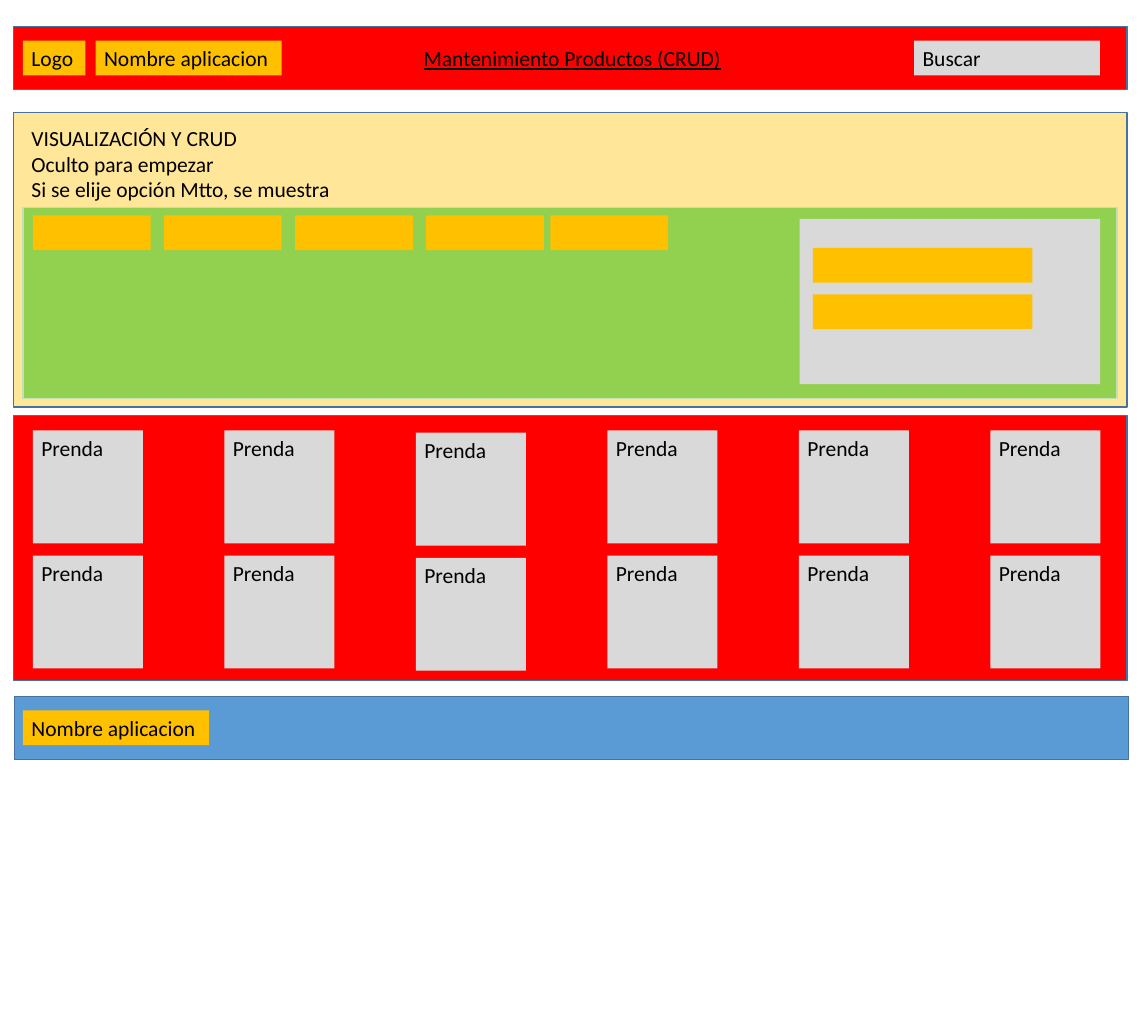
from pptx import Presentation
from pptx.dml.color import RGBColor
from pptx.enum.shapes import MSO_SHAPE
from pptx.enum.text import MSO_ANCHOR, MSO_AUTO_SIZE, PP_ALIGN
from pptx.util import Pt

RECT = MSO_SHAPE.RECTANGLE
TOP = MSO_ANCHOR.TOP
LEFT = PP_ALIGN.LEFT
NO_FIT = MSO_AUTO_SIZE.NONE
TITLE_ONLY = 5

COLORS = {
    "red": "FF0000", "orange": "FFC000", "gray": "D9D9D9", "cream": "FFE699",
    "green": "92D050", "blue": "5B9BD5", "border": "43739E",
    "pale": "C5E0B4", "text": "000000",
}
FONT, FONT_SIZE = "Calibri", 18

TITLE = "Mantenimiento Productos (CRUD)"
APP_NAME = "Nombre aplicacion"
CRUD_NOTES = ["VISUALIZACIÓN Y CRUD", "Oculto para empezar",
              "Si se elije opción Mtto, se muestra"]
GARMENTS = [["Prenda"] * 6, ["Prenda"] * 6]

BAND_X, BAND_W, BAR_H = 11, 931.5, 52.5
INNER_X, COLUMN_X = 19.2, 27.5
LABEL_W, LABEL_H = 155.5, 29.1
HEADER_Y, FOOTER_Y = 33.9, 594
BUTTON_W, BUTTON_Y = 98.5, 180
BUTTON_PITCH, LAST_BUTTON_X = 109.6, 460.3
FORM_X, FIELD_X, FIELD_W = 668.8, 679.8, 183.6
FIELD_Y, FIELD_PITCH = 207.2, 39
CARD_W, CARD_H, CARD_Y = 92, 94.4, 360
CARD_PITCH_X, CARD_PITCH_Y = 160.15, 104.6
LOWERED_COLUMN, LOWERED_BY = 2, 1.8


def rgb(name):
    return RGBColor.from_string(COLORS[name])


def write(sp, lines, underline=None):
    tf = sp.text_frame
    tf.word_wrap = True
    tf.auto_size = NO_FIT
    tf.vertical_anchor = TOP
    tf.margin_left = tf.margin_right = Pt(7.2)
    tf.margin_top = tf.margin_bottom = Pt(3.6)
    for i, line in enumerate(lines):
        p = tf.add_paragraph() if i else tf.paragraphs[0]
        p.alignment = LEFT
        p.line_spacing = 1.0
        p.space_before = Pt(0)
        r = p.add_run()
        r.text = line
        r.font.name = FONT
        r.font.size = Pt(FONT_SIZE)
        r.font.color.rgb = rgb("text")
        r.font.underline = underline


def box(x, y, w, h, fill, line=None, text=None):
    sp = s.shapes.add_shape(RECT, Pt(x), Pt(y), Pt(w), Pt(h))
    sp.shadow.inherit = False
    sp.fill.solid()
    sp.fill.fore_color.rgb = rgb(fill)
    if line:
        sp.line.color.rgb = rgb(line)
        sp.line.width = Pt(1)
    else:
        sp.line.fill.background()
    if text:
        write(sp, [text])


prs = Presentation()
prs.slide_width, prs.slide_height = Pt(960), Pt(850.4)
s = prs.slides.add_slide(prs.slide_layouts[TITLE_ONLY])

box(BAND_X, 22.5, BAND_W, BAR_H, "red", "border")
box(INNER_X, HEADER_Y, 52.3, LABEL_H, "orange", text="Logo")
box(80, HEADER_Y, LABEL_W, LABEL_H, "orange", text=APP_NAME)
box(764.4, HEADER_Y, LABEL_W, LABEL_H, "gray", text="Buscar")

title = s.shapes.title
title.left, title.top = Pt(347), Pt(HEADER_Y)
title.width, title.height = Pt(272), Pt(LABEL_H)
write(title, [TITLE], underline=True)
title.element.getparent().append(title.element)

box(BAND_X, 94.2, BAND_W, 246.2, "cream", "border")
notes = s.shapes.add_textbox(Pt(INNER_X), Pt(100.8), Pt(281.5), Pt(72.7))
write(notes, CRUD_NOTES)
box(INNER_X, 173.7, 915, 159.6, "green", "pale")
for x in [COLUMN_X + i * BUTTON_PITCH for i in range(4)] + [LAST_BUTTON_X]:
    box(x, BUTTON_Y, BUTTON_W, LABEL_H, "orange")
box(FORM_X, 183, 251.2, 138.2, "gray")
for i in range(2):
    box(FIELD_X, FIELD_Y + i * FIELD_PITCH, FIELD_W, LABEL_H, "orange")

box(BAND_X, 347.4, BAND_W, 221.8, "red", "border")
for row, garments in enumerate(GARMENTS):
    for col, garment in enumerate(garments):
        y = CARD_Y + row * CARD_PITCH_Y
        if col == LOWERED_COLUMN:
            y += LOWERED_BY
        box(COLUMN_X + col * CARD_PITCH_X, y, CARD_W, CARD_H, "gray", text=garment)

box(BAND_X + 1, 582.4, BAND_W, BAR_H, "blue", "border")
box(INNER_X, FOOTER_Y, LABEL_W, LABEL_H, "orange", text=APP_NAME)

prs.save("out.pptx")
